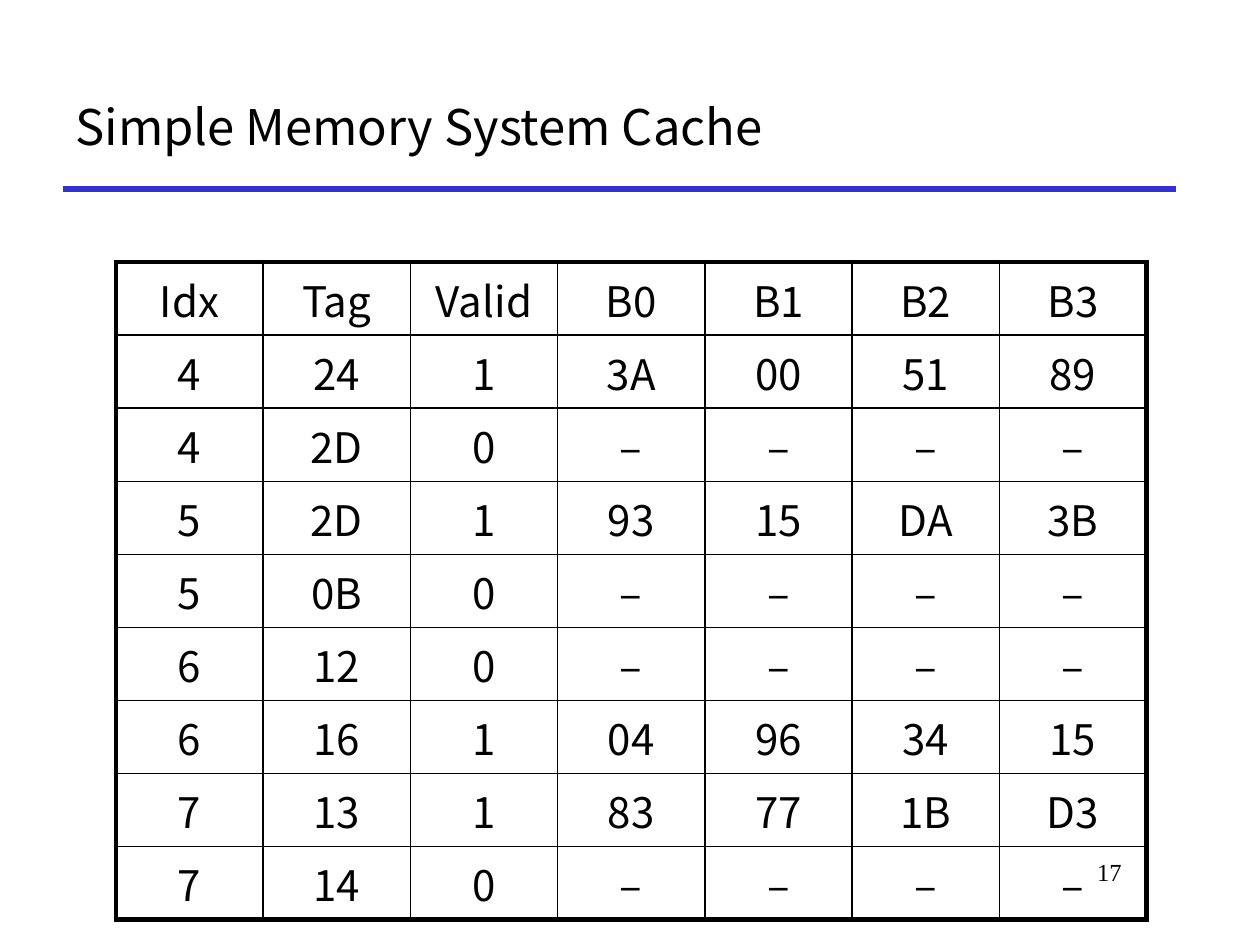
import pptx
import pptx.util
import pptx.dml.color
import pptx.enum.shapes
import pptx.enum.text
import pptx.oxml
import pptx.oxml.ns

TITLE = "Simple Memory System Cache"
PAGE = "17"
HEADER = ["Idx", "Tag", "Valid", "B0", "B1", "B2", "B3"]
EMPTY = ["–"] * 4
CACHE_LINES = [
    ["4", "24", "1", "3A", "00", "51", "89"],
    ["4", "2D", "0", *EMPTY],
    ["5", "2D", "1", "93", "15", "DA", "3B"],
    ["5", "0B", "0", *EMPTY],
    ["6", "12", "0", *EMPTY],
    ["6", "16", "1", "04", "96", "34", "15"],
    ["7", "13", "1", "83", "77", "1B", "D3"],
    ["7", "14", "0", *EMPTY],
]
THEME = {
    "ink": "000000", "rule": "3333CC",
    "title": {"name": "Noto Sans CJK KR", "size": pptx.util.Pt(28)},
    "cell": {"name": "Noto Sans CJK KR", "size": pptx.util.Pt(24)},
    "page": {"name": "Times New Roman", "size": pptx.util.Pt(14)},
    "thick": 3, "thin": 1,
}
LEFT, RULE_Y, WIDTH = 0.5, 1.5, 8.83
TABLE_X, TABLE_Y, TABLE_W, TABLE_H = 0.92, 2.08, 8.18, 5.22

Inches = pptx.util.Inches
ALIGN = pptx.enum.text.PP_ALIGN
ANCHOR = pptx.enum.text.MSO_ANCHOR
rgb = pptx.dml.color.RGBColor.from_string


def write(tf, text, style, align, anchor):
    tf.word_wrap = True
    tf.vertical_anchor = anchor
    p = tf.paragraphs[0]
    p.alignment = align
    r = p.add_run()
    r.text = text
    for key, value in THEME[style].items():
        setattr(r.font, key, value)
    r.font.color.rgb = rgb(THEME["ink"])
    return p


def set_borders(cell, outer):
    tcPr = cell._tc.get_or_add_tcPr()
    for i, (side, is_outer) in enumerate(outer.items()):
        width = pptx.util.Pt(THEME["thick" if is_outer else "thin"])
        tcPr.insert(i, pptx.oxml.parse_xml(
            f'<a:ln{side} {pptx.oxml.ns.nsdecls("a")} w="{width}"><a:solidFill>'
            f'<a:srgbClr val="{THEME["ink"]}"/></a:solidFill></a:ln{side}>'))


prs = pptx.Presentation()
prs.slide_width, prs.slide_height = Inches(10), Inches(7.5)
s = prs.slides.add_slide(prs.slide_layouts[5])

title = s.shapes.title
title.left, title.top, title.width, title.height = map(Inches, (LEFT, 0.5, WIDTH, 1))
write(title.text_frame, TITLE, "title", ALIGN.LEFT, ANCHOR.MIDDLE)

rule = s.shapes.add_connector(
    pptx.enum.shapes.MSO_CONNECTOR.STRAIGHT,
    *map(Inches, (LEFT, RULE_Y, LEFT + WIDTH, RULE_Y)))
rule.line.color.rgb = rgb(THEME["rule"])
rule.line.width = pptx.util.Pt(THEME["thick"])
rule._element.spPr.append(pptx.oxml.parse_xml(
    f'<a:effectLst {pptx.oxml.ns.nsdecls("a")}/>'))

page = s.shapes.add_textbox(*map(Inches, (7.58, 6.75, 1.42, 0.5)))
write(page.text_frame, PAGE, "page", ALIGN.RIGHT, ANCHOR.TOP)

rows = [HEADER, *CACHE_LINES]
last_row, last_col = len(rows) - 1, len(HEADER) - 1
table = s.shapes.add_table(
    len(rows), len(HEADER),
    *map(Inches, (TABLE_X, TABLE_Y, TABLE_W, TABLE_H))).table
table.first_row = table.horz_banding = False
for col in table.columns:
    col.width = Inches(TABLE_W / len(HEADER))
for y, values in enumerate(rows):
    table.rows[y].height = Inches(TABLE_H / len(rows))
    for x, value in enumerate(values):
        cell = table.cell(y, x)
        cell.fill.background()
        p = write(cell.text_frame, value, "cell", ALIGN.CENTER, ANCHOR.TOP)
        p._p.get_or_add_pPr().append(pptx.oxml.parse_xml(
            f'<a:spcBef {pptx.oxml.ns.nsdecls("a")}><a:spcPct val="20000"/></a:spcBef>'))
        set_borders(cell, {"L": x == 0, "R": x == last_col,
                           "T": y == 0, "B": y == last_row})

prs.save("out.pptx")
